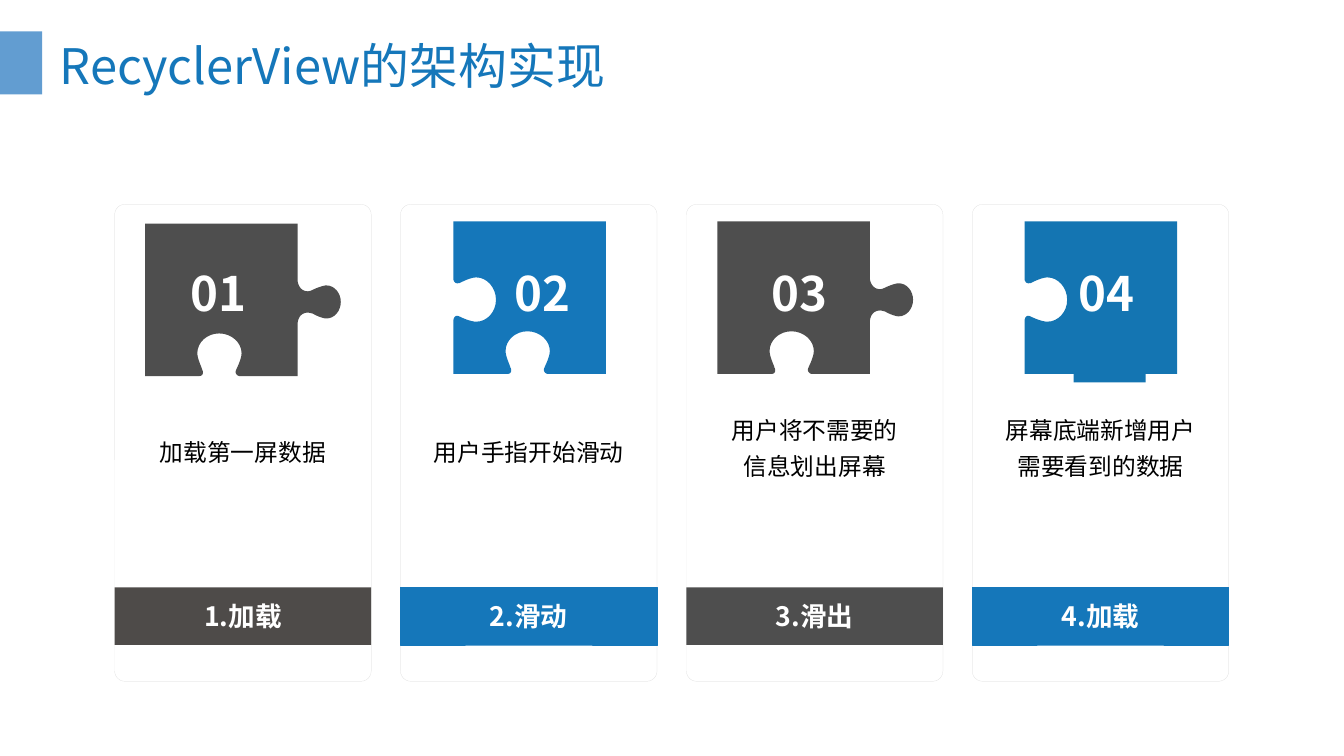
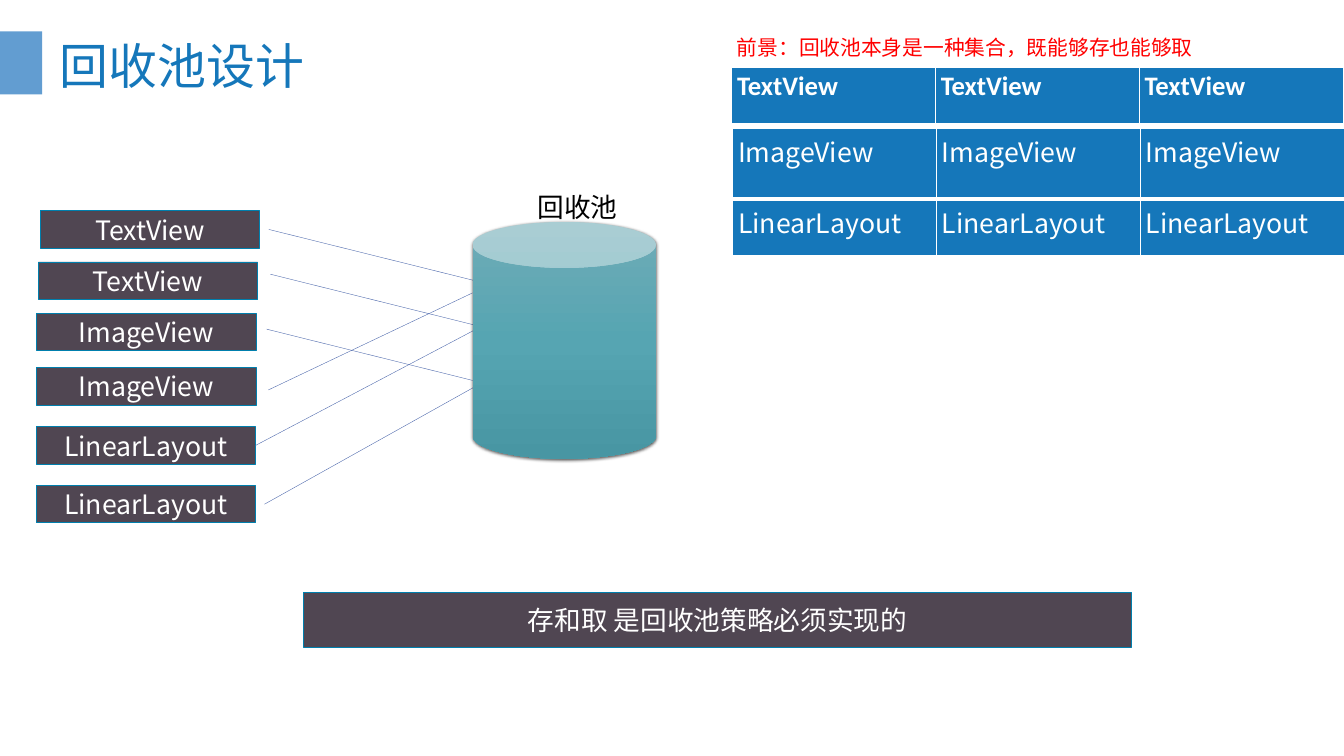
from dataclasses import dataclass
from typing import NamedTuple

from pptx import Presentation
from pptx.dml.color import RGBColor as Rgb
from pptx.enum.shapes import MSO_CONNECTOR as Link, MSO_SHAPE as Shape
from pptx.enum.text import MSO_ANCHOR as Anchor, PP_ALIGN as Align
from pptx.oxml import parse_xml
from pptx.oxml.ns import nsdecls, qn
from pptx.util import Inches, Pt


@dataclass(frozen=True)
class Theme:
    blue: str = "1577BA"
    deep_blue: str = "1475B2"
    band: str = "629DD1"
    dark: str = "4E4E4E"
    warm_dark: str = "4E4B49"
    plum: str = "504652"
    plum_edge: str = "007FAD"
    card_edge: str = "D9D9D9"
    link: str = "4A66AC"
    red: str = "FF0000"
    white: str = "FFFFFF"
    black: str = "000000"
    pool: tuple = ((0, "70ACB7"), (50, "56A5B2"), (100, "4896A3"))
    font: str = "Noto Sans CJK SC"
    header_font: str = "Calibri"
    title_size: float = 66
    number_size: float = 64
    label_size: float = 36
    body_size: float = 32
    note_size: float = 28


class Box(NamedTuple):
    left: float
    top: float
    width: float
    height: float

    def inner(self, left, top, width, height):
        return Box(self.left + left, self.top + top, width, height)

    def emu(self):
        return [Inches(length) for length in self]


THEME = Theme()
SLIDE = Box(0, 0, 25.2, 14.17)

CARD = Box(2.15, 3.83, 4.81, 8.94)
CARD_PITCH = 5.36
PIECE_WIDTH, PIECE_HEIGHT = 2.86, 2.86
BOTTOM_SOCKET = [
    (1.78, 0),
    (1.75, 0), (1.72, -0.02), (1.71, -0.04),
    (1.69, -0.07), (1.7, -0.1), (1.71, -0.12),
    (1.72, -0.15), (1.81, -0.32), (1.81, -0.43),
    (1.81, -0.63), (1.62, -0.8), (1.39, -0.8),
    (1.16, -0.8), (0.98, -0.63), (0.98, -0.43),
    (0.98, -0.32), (1.07, -0.15), (1.07, -0.12),
    (1.09, -0.09), (1.09, -0.06), (1.08, -0.04),
    (1.07, -0.01), (1.04, 0), (1, 0),
]
LEFT_SOCKET = [
    (0, 1.87),
    (0, 1.85), (0.01, 1.77), (0.07, 1.77),
    (0.09, 1.77), (0.11, 1.78), (0.13, 1.79),
    (0.15, 1.8), (0.32, 1.88), (0.43, 1.88),
    (0.63, 1.88), (0.8, 1.7), (0.8, 1.47),
    (0.8, 1.24), (0.63, 1.05), (0.43, 1.05),
    (0.32, 1.05), (0.15, 1.14), (0.13, 1.15),
    (0.11, 1.16), (0.09, 1.16), (0.07, 1.16),
    (0.02, 1.16), (0, 1.1), (0, 1.07),
]
RIGHT_TAB = [
    (0, 1.08),
    (0.02, 1.2), (0.09, 1.27), (0.19, 1.27),
    (0.22, 1.27), (0.25, 1.26), (0.29, 1.24),
    (0.35, 1.21), (0.48, 1.16), (0.54, 1.16),
    (0.69, 1.16), (0.81, 1.3), (0.81, 1.47),
    (0.81, 1.64), (0.69, 1.78), (0.54, 1.78),
    (0.48, 1.78), (0.35, 1.73), (0.29, 1.69),
    (0.25, 1.68), (0.22, 1.67), (0.19, 1.67),
    (0.08, 1.67), (0.01, 1.75), (0, 1.87),
]


class Step(NamedTuple):
    number: str
    label: str
    lines: list
    bar: str
    piece: str
    piece_at: tuple
    number_left: float
    tabbed: bool
    backed: bool = False


STEPS = [
    Step("01", "1.加载", ["加载第一屏数据"], THEME.warm_dark, THEME.dark,
         (0.57, 0.36), 1.33, True),
    Step("02", "2.滑动", ["用户手指开始滑动"], THEME.blue, THEME.blue,
         (0.99, 0.32), 2.03, False),
    Step("03", "3.滑出", ["用户将不需要的", "信息划出屏幕"], THEME.dark, THEME.dark,
         (0.58, 0.32), 1.49, True),
    Step("04", "4.加载", ["屏幕底端新增用户", "需要看到的数据"], THEME.blue, THEME.deep_blue,
         (0.98, 0.32), 1.9, False, True),
]

TAG_WIDTH, TAG_HEIGHT = 4.11, 0.7
TAGS = [
    ("TextView", 0.76, 3.95), ("TextView", 0.72, 4.91),
    ("ImageView", 0.69, 5.87), ("ImageView", 0.69, 6.89),
    ("LinearLayout", 0.68, 8), ("LinearLayout", 0.68, 9.1),
]
LINKS = [
    (5.04, 4.3, 8.9, 5.26), (5.07, 5.14, 8.93, 6.1), (5, 6.17, 8.86, 7.13),
    (5.03, 7.31, 8.86, 5.49), (4.8, 8.35, 8.89, 6.19), (4.96, 9.45, 8.92, 7.24),
]
JOINED_TAG = 4
VIEW_ROWS = [
    ("TextView", Box(13.72, 1.27, 11.46, 1.05), THEME.header_font, True),
    ("ImageView", Box(13.74, 2.41, 11.46, 1.3), THEME.font, False),
    ("LinearLayout", Box(13.74, 3.75, 11.46, 1.05), THEME.font, False),
]


def write(frame, lines, size, color, bold=False, font=THEME.font, align=Align.LEFT, spacing=None):
    frame.text = "\n".join(lines)
    for paragraph in frame.paragraphs:
        paragraph.alignment = align
        if spacing:
            paragraph.line_spacing = spacing
        for run in paragraph.runs:
            run.font.size = Pt(size)
            run.font.bold = bold
            run.font.color.rgb = Rgb.from_string(color)
            run.font.name = font
            run.font._element.append(
                parse_xml(f'<a:ea {nsdecls("a")} typeface="{font}"/>'))


def paint(shape, fill, edge=None, weight=1):
    shape.shadow.inherit = False
    shape.fill.solid()
    shape.fill.fore_color.rgb = Rgb.from_string(fill)
    if edge:
        shape.line.color.rgb = Rgb.from_string(edge)
        shape.line.width = Pt(weight)
    else:
        shape.line.fill.background()


def add_panel(slide, box, fill, edge=None, weight=1, kind=Shape.RECTANGLE):
    panel = slide.shapes.add_shape(kind, *box.emu())
    paint(panel, fill, edge, weight)
    return panel


def add_label(slide, box, text, fill, edge=None, bold=False):
    label = add_panel(slide, box, fill, edge)
    label.text_frame.vertical_anchor = Anchor.MIDDLE
    write(label.text_frame, [text], THEME.label_size, THEME.white, bold, align=Align.CENTER)
    return label


def add_text(slide, box, lines, size, color, **style):
    text = slide.shapes.add_textbox(*box.emu())
    text.text_frame.word_wrap = True
    write(text.text_frame, lines, size, color, **style)
    return text


def add_title(slide, title):
    add_panel(slide, SLIDE.inner(0, 0.59, 0.79, 1.18), THEME.band)
    heading = add_text(slide, SLIDE.inner(0.79, 0.61, 23.62, 1.2), [title],
                       THEME.title_size, THEME.blue)
    heading.text_frame.margin_left = Inches(0.33)
    heading.text_frame.vertical_anchor = Anchor.MIDDLE


def trace(curve, dx, dy, steps=8):
    points = [curve[0]]
    for first in range(0, len(curve) - 1, 3):
        a, b, c, d = curve[first:first + 4]
        for step in range(1, steps + 1):
            t = step / steps
            u = 1 - t
            points.append(tuple(
                u ** 3 * a[i] + 3 * u * u * t * b[i] + 3 * u * t * t * c[i] + t ** 3 * d[i]
                for i in (0, 1)))
    return [(x + dx, y + dy) for x, y in points]


def add_piece(slide, box, fill, tabbed):
    outline = [(0, 0), (box.width, 0)]
    if tabbed:
        outline += trace(RIGHT_TAB, box.width, 0)
    outline += [(box.width, box.height), *trace(BOTTOM_SOCKET, 0, box.height), (0, box.height)]
    if not tabbed:
        outline += trace(LEFT_SOCKET, 0, 0)
    corners = [(Inches(box.left + x), Inches(box.top + y)) for x, y in outline]
    builder = slide.shapes.build_freeform(*corners[0])
    builder.add_line_segments(corners[1:], close=True)
    paint(builder.convert_to_shape(), fill)


def add_step_card(slide, box, step):
    card = add_panel(slide, box, THEME.white, THEME.card_edge, 0.25, Shape.ROUNDED_RECTANGLE)
    card.adjustments[0] = 0.04
    edge = THEME.blue if step.bar == THEME.blue else None
    add_label(slide, box.inner(0, 7.18, box.width, 1.08), step.label, step.bar, edge, bold=True)
    top, height, spacing = (4.06, 0.91, 1.5) if len(step.lines) == 1 else (3.78, 1.45, 1.25)
    add_text(slide, box.inner(0, top, box.width, height), step.lines, THEME.body_size,
             THEME.black, align=Align.CENTER, spacing=spacing)
    add_piece(slide, box.inner(*step.piece_at, PIECE_WIDTH, PIECE_HEIGHT), step.piece, step.tabbed)
    number = add_text(slide, box.inner(step.number_left, 1.08, 1.35, 2.26), [step.number],
                      THEME.number_size, THEME.white, bold=True)
    if step.backed:
        number.fill.solid()
        number.fill.fore_color.rgb = Rgb.from_string(step.piece)


def add_view_row(slide, box, name, font, bold, columns=3):
    table = slide.shapes.add_table(1, columns, *box.emu()).table
    for column in table.columns:
        column.width = Inches(box.width / columns)
    for cell in table.rows[0].cells:
        borders = cell._tc.get_or_add_tcPr()
        for side, weight in (("L", 1), ("R", 1), ("T", 1), ("B", 3)):
            borders.append(parse_xml(
                f'<a:ln{side} {nsdecls("a")} w="{Pt(weight)}"><a:solidFill>'
                f'<a:srgbClr val="{THEME.white}"/></a:solidFill></a:ln{side}>'))
        cell.fill.solid()
        cell.fill.fore_color.rgb = Rgb.from_string(THEME.blue)
        write(cell.text_frame, [name], THEME.label_size, THEME.white, bold, font)


def add_link(slide, ends, tag=None):
    link = slide.shapes.add_connector(Link.STRAIGHT, *[Inches(end) for end in ends])
    link.line.color.rgb = Rgb.from_string(THEME.link)
    link.line.width = Pt(0.5)
    link._element.spPr.append(parse_xml(f'<a:effectLst {nsdecls("a")}/>'))
    if tag is not None:
        link.begin_connect(tag, 3)


def add_pool(slide, box):
    pool = add_panel(slide, box, THEME.white, kind=Shape.CAN)
    properties = pool._element.spPr
    stops = "".join(f'<a:gs pos="{place * 1000}"><a:srgbClr val="{color}"/></a:gs>'
                    for place, color in THEME.pool)
    properties.replace(properties.find(qn("a:solidFill")), parse_xml(
        f'<a:gradFill {nsdecls("a")} rotWithShape="1"><a:gsLst>{stops}</a:gsLst>'
        '<a:lin ang="5400000" scaled="0"/></a:gradFill>'))
    properties.find(qn("a:effectLst")).append(parse_xml(
        f'<a:outerShdw {nsdecls("a")} blurRad="{Pt(4.5)}" dist="{Pt(1.5)}" dir="5400000" '
        f'rotWithShape="0"><a:srgbClr val="{THEME.black}"><a:alpha val="63000"/>'
        '</a:srgbClr></a:outerShdw>'))
    add_text(slide, box.inner(1.12, -0.93, 2.3, 1.01), ["回收池"], THEME.label_size,
             THEME.black, spacing=1.5)


def build_architecture(slide):
    add_title(slide, "RecyclerView的架构实现")
    for index, step in enumerate(STEPS):
        add_step_card(slide, CARD._replace(left=CARD.left + index * CARD_PITCH), step)


def build_pool_design(slide):
    add_title(slide, "回收池设计")
    add_label(slide, SLIDE.inner(5.69, 11.1, 15.52, 1.03), "存和取 是回收池策略必须实现的",
              THEME.plum, THEME.plum_edge)
    tags = [add_label(slide, SLIDE.inner(left, top, TAG_WIDTH, TAG_HEIGHT), name,
                      THEME.plum, THEME.plum_edge) for name, left, top in TAGS]
    for index, ends in enumerate(LINKS):
        add_link(slide, ends, tags[index] if index == JOINED_TAG else None)
    add_text(slide, SLIDE.inner(13.72, 0.36, 11.4, 0.81),
             ["前景：回收池本身是一种集合，既能够存也能够取"], THEME.note_size, THEME.red, spacing=1.5)
    for name, box, font, bold in VIEW_ROWS:
        add_view_row(slide, box, name, font, bold)
    add_pool(slide, SLIDE.inner(8.86, 4.16, 3.44, 4.44))


def main():
    deck = Presentation()
    deck.slide_width, deck.slide_height = Inches(SLIDE.width), Inches(SLIDE.height)
    for build in (build_architecture, build_pool_design):
        build(deck.slides.add_slide(deck.slide_layouts[6]))
    deck.save("out.pptx")


if __name__ == "__main__":
    main()
